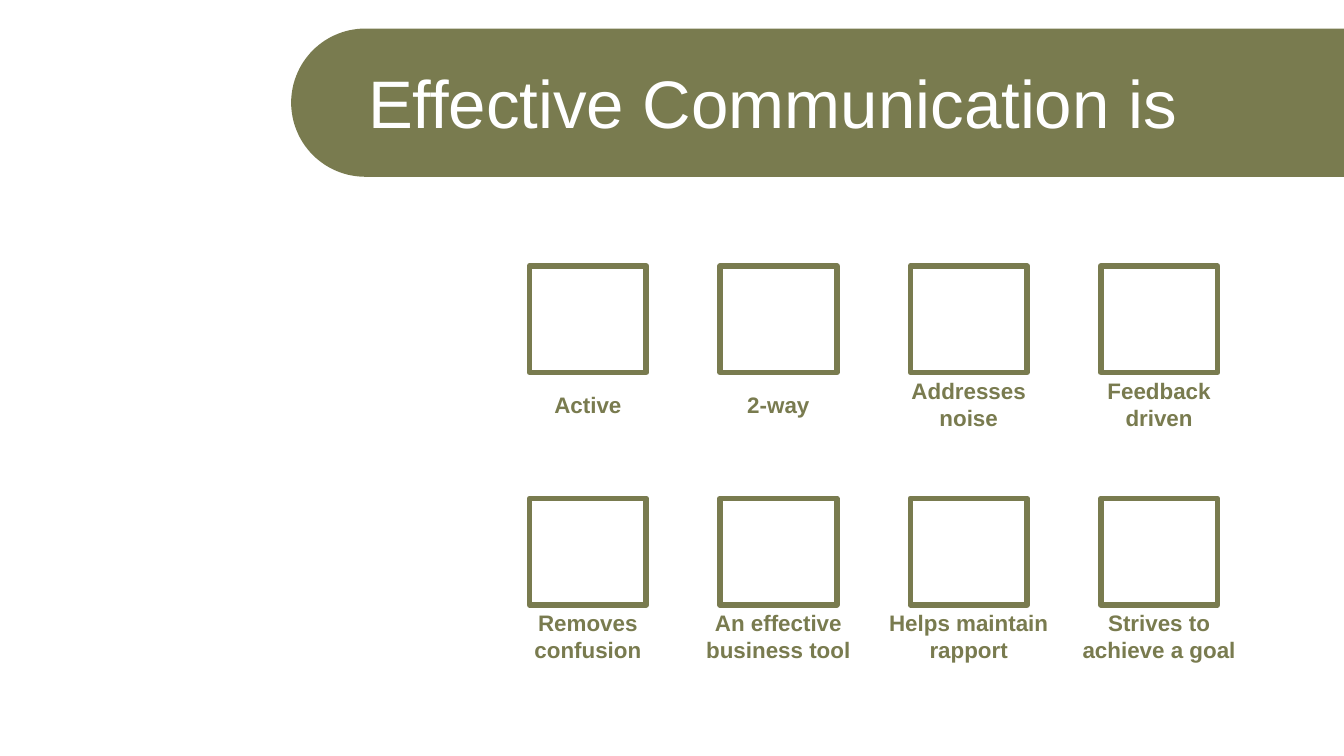
from dataclasses import dataclass
from math import cos, pi, sin

from lxml.etree import SubElement
from pptx import Presentation
from pptx.dml.color import RGBColor
from pptx.enum.shapes import MSO_SHAPE as Preset
from pptx.enum.text import MSO_ANCHOR as Anchor, MSO_AUTO_SIZE as AutoSize, PP_ALIGN as Align
from pptx.oxml.ns import qn
from pptx.slide import Slide
from pptx.text.text import TextFrame
from pptx.util import Pt


@dataclass(frozen=True)
class Theme:
    olive: RGBColor = RGBColor(0x79, 0x7B, 0x4F)
    white: RGBColor = RGBColor(0xFF, 0xFF, 0xFF)
    font: str = "Arial"
    title_size: float = 36
    label_size: float = 12
    outline: float = 3


@dataclass(frozen=True)
class Quality:
    label: str
    column: int
    row: int
    label_height: float


THEME = Theme()
SLIDE_WIDTH, SLIDE_HEIGHT = 720, 405
BAND_LEFT, BAND_TOP, BAND_HEIGHT = 156, 15.3, 79.4

BOX_LEFT, BOX_TOP = 283.7, 142.5
BOX_WIDTH, BOX_HEIGHT = 62.6, 57
COLUMN_STEP, ROW_STEP = 102, 124.5
LABEL_WIDTH, LABEL_DROP = 105, 74
ONE_LINE, TWO_LINES = 21.6, 36

QUALITIES = [
    Quality("Active", 0, 0, ONE_LINE),
    Quality("2-way", 1, 0, ONE_LINE),
    Quality("Addresses noise", 2, 0, TWO_LINES),
    Quality("Feedback driven", 3, 0, TWO_LINES),
    Quality("Removes confusion", 0, 1, TWO_LINES),
    Quality("An effective business tool", 1, 1, TWO_LINES),
    Quality("Helps maintain rapport", 2, 1, TWO_LINES),
    Quality("Strives to achieve a goal", 3, 1, TWO_LINES),
]


def write_text(frame: TextFrame, text: str, size: float, color: RGBColor,
               align: Align, bold: bool) -> None:
    frame.text = text
    frame.word_wrap = True
    frame.vertical_anchor = Anchor.MIDDLE
    paragraph = frame.paragraphs[0]
    paragraph.alignment = align
    font = paragraph.runs[0].font
    font.name, font.size, font.bold = THEME.font, Pt(size), bold
    font.color.rgb = color


def draw_title(slide: Slide, text: str) -> None:
    """Fill the title and lay a band with a half-round left end behind it."""
    title = slide.shapes.title
    title.left, title.top, title.width, title.height = Pt(190), Pt(31.7), Pt(527), Pt(45.4)
    write_text(title.text_frame, text, THEME.title_size, THEME.white, Align.LEFT, False)
    title.text_frame.auto_size = AutoSize.NONE

    radius, steps = BAND_HEIGHT / 2, 60
    angles = [pi * step / steps for step in range(steps + 1)]
    arc = [(Pt(BAND_LEFT + radius - radius * sin(angle)),
            Pt(BAND_TOP + radius + radius * cos(angle))) for angle in angles]
    builder = slide.shapes.build_freeform(Pt(SLIDE_WIDTH), Pt(BAND_TOP))
    builder.add_line_segments([(Pt(SLIDE_WIDTH), Pt(BAND_TOP + BAND_HEIGHT)), *arc])
    band = builder.convert_to_shape()
    band.shadow.inherit = False
    band.fill.solid()
    band.fill.fore_color.rgb = THEME.olive
    band.line.fill.background()
    title.element.addprevious(band.element)


def draw_quality(slide: Slide, quality: Quality) -> None:
    left = BOX_LEFT + quality.column * COLUMN_STEP
    top = BOX_TOP + quality.row * ROW_STEP
    box = slide.shapes.add_shape(Preset.RECTANGLE, Pt(left), Pt(top), Pt(BOX_WIDTH), Pt(BOX_HEIGHT))
    box.shadow.inherit = False
    box.fill.background()
    box.line.color.rgb = THEME.olive
    box.line.width = Pt(THEME.outline)
    SubElement(box.element.spPr.find(qn("a:ln")), qn("a:round"))

    label = slide.shapes.add_textbox(
        Pt(left + (BOX_WIDTH - LABEL_WIDTH) / 2), Pt(top + LABEL_DROP - quality.label_height / 2),
        Pt(LABEL_WIDTH), Pt(quality.label_height))
    write_text(label.text_frame, quality.label, THEME.label_size, THEME.olive, Align.CENTER, True)


def main() -> None:
    presentation = Presentation()
    presentation.slide_width, presentation.slide_height = Pt(SLIDE_WIDTH), Pt(SLIDE_HEIGHT)
    title_only = presentation.slide_layouts[5]
    slide = presentation.slides.add_slide(title_only)
    draw_title(slide, "Effective Communication is")
    for quality in QUALITIES:
        draw_quality(slide, quality)
    presentation.save("out.pptx")


if __name__ == "__main__":
    main()
